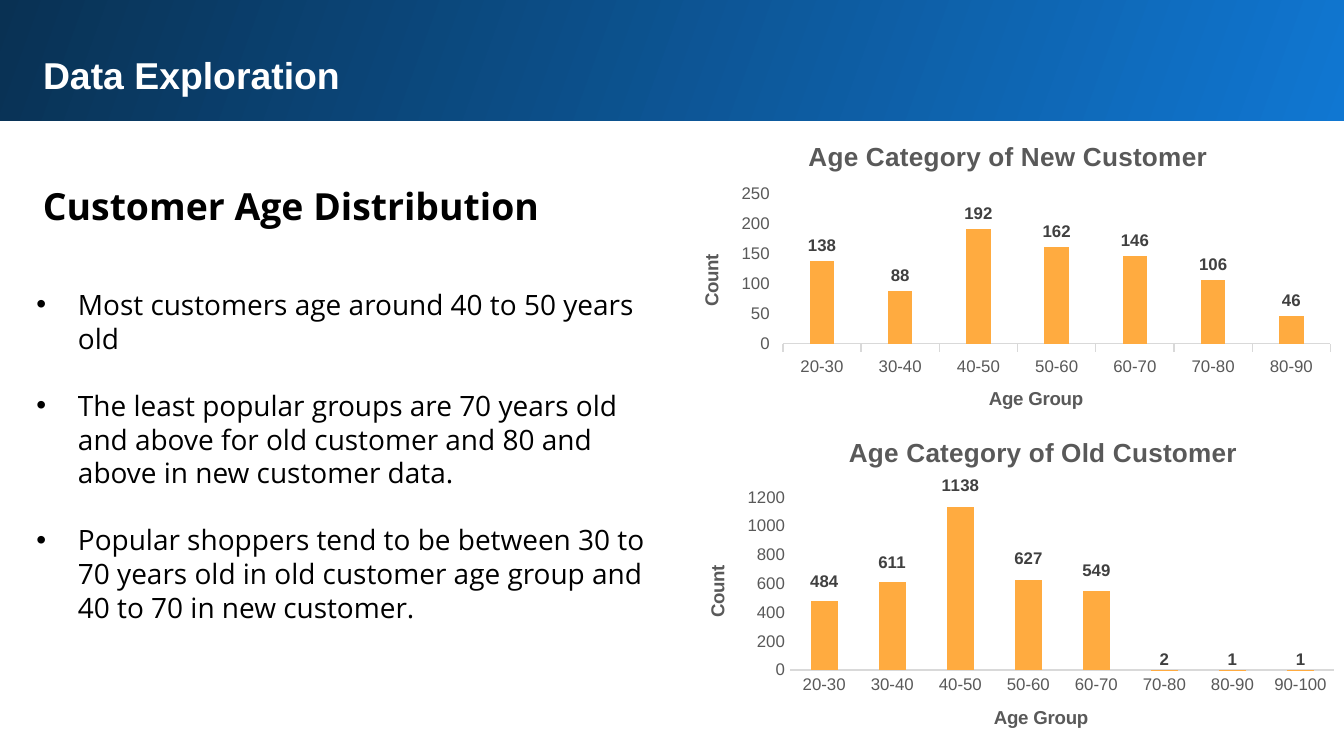
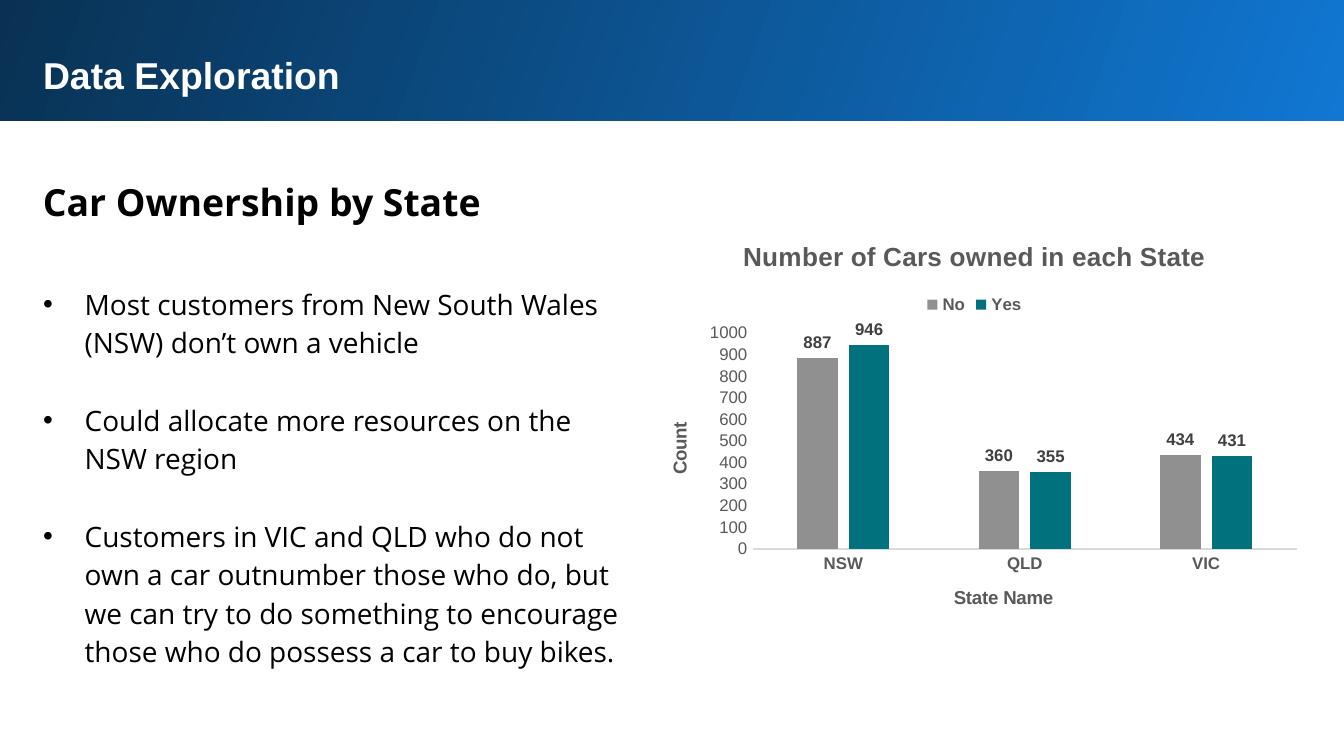
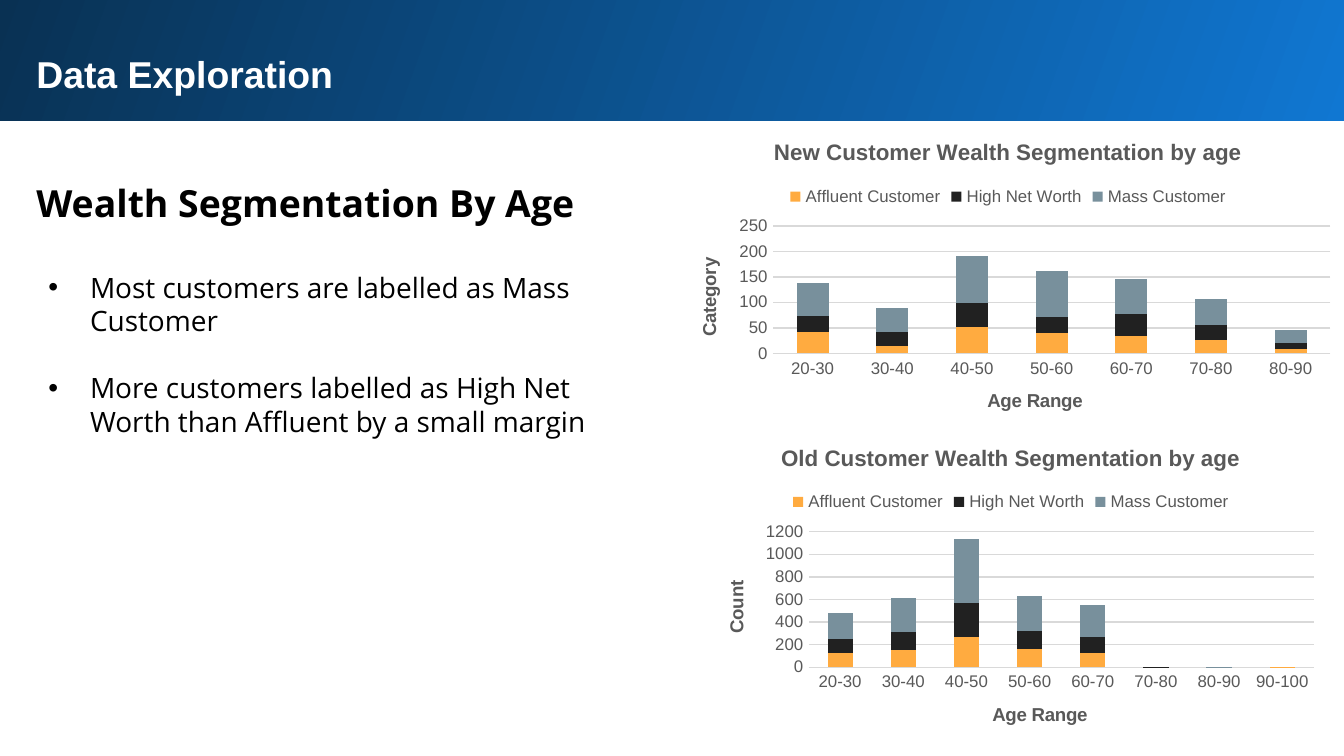
from lxml.etree import SubElement
from pptx import Presentation
from pptx.chart.data import CategoryChartData
from pptx.dml.color import RGBColor
from pptx.enum.chart import (XL_CHART_TYPE, XL_LABEL_POSITION,
                             XL_LEGEND_POSITION, XL_TICK_MARK)
from pptx.enum.shapes import MSO_SHAPE
from pptx.enum.text import MSO_ANCHOR, MSO_AUTO_SIZE, PP_ALIGN
from pptx.oxml.ns import qn
from pptx.util import Inches, Pt

WHITE = RGBColor(0xFF, 0xFF, 0xFF)
BLACK = RGBColor(0x00, 0x00, 0x00)
NAVY = RGBColor(0x09, 0x31, 0x53)
BLUE = RGBColor(0x10, 0x77, 0xD2)
ORANGE = RGBColor(0xFF, 0xAB, 0x40)
COAL = RGBColor(0x21, 0x21, 0x21)
SLATE = RGBColor(0x78, 0x90, 0x9C)
GREY = RGBColor(0x90, 0x90, 0x90)
TEAL = RGBColor(0x00, 0x71, 0x7D)
DIM = RGBColor(0x59, 0x59, 0x59)
DARK = RGBColor(0x40, 0x40, 0x40)
PALE = RGBColor(0xD9, 0xD9, 0xD9)

HEAD = dict(name="Arial", size=Pt(20), bold=True, color=WHITE)
TOPIC = dict(name="Open Sans", size=Pt(20), bold=True, color=BLACK)
BODY = dict(name="Open Sans", size=Pt(15), bold=False, color=BLACK)
TICK = dict(name="Arial", size=Pt(9), bold=False, color=DIM)
LABEL = dict(TICK, bold=True, color=DARK)
AXIS = dict(TICK, size=Pt(10), bold=True)
CAPTION = dict(AXIS, size=Pt(14))

CLUSTER = XL_CHART_TYPE.COLUMN_CLUSTERED
STACK = XL_CHART_TYPE.COLUMN_STACKED
AGES = [f"{n}-{n + 10}" for n in range(20, 100, 10)]
C15 = "http://schemas.microsoft.com/office/drawing/2012/chart"


def ink(font, look):
    """Apply a dict of format values to a font."""
    for key, value in look.items():
        if key == "color":
            font.color.rgb = value
        else:
            setattr(font, key, value)


def place(node, index, **parts):
    """Give a chart element a manual layout, in shares of the chart."""
    layout = node.find(qn("c:layout"))
    if layout is not None:
        node.remove(layout)
    layout = SubElement(node, qn("c:layout"))
    node.insert(index, layout)
    manual = SubElement(layout, qn("c:manualLayout"))
    for key, value in parts.items():
        SubElement(manual, qn("c:" + key)).set("val", str(value))


def unlead(node):
    """Turn off the leader lines of a set of data labels."""
    lead = node.find(qn("c:showLeaderLines"))
    if lead is None:
        lead = SubElement(node, qn("c:showLeaderLines"))
    lead.set("val", "0")
    more = SubElement(SubElement(node, qn("c:extLst")), qn("c:ext"),
                      nsmap={"c15": C15})
    more.set("uri", "{CE6537A1-D6FC-4f65-9D91-7224C49458BB}")
    SubElement(more, f"{{{C15}}}showLeaderLines").set("val", "0")


class Deck:
    """Shared style and the current slide, on a grid of 100 columns."""

    def __init__(self):
        """Open a blank deck and set its size and grid cell."""
        self.prs = Presentation()
        self.prs.slide_width = Inches(10)
        self.prs.slide_height = Inches(5.625)
        self.cell = self.prs.slide_width / 100
        self.slide = None

    def box(self, *at):
        """Turn grid columns and rows into lengths."""
        return [round(n * self.cell) for n in at]

    def frame(self, shape, at, pad):
        """Move a text shape and return its frame, wrapped and top aligned."""
        names = ("left", "top", "width", "height")
        for name, value in zip(names, self.box(*at)):
            setattr(shape, name, value)
        text = shape.text_frame
        look = dict(word_wrap=True, auto_size=MSO_AUTO_SIZE.NONE,
                    vertical_anchor=MSO_ANCHOR.TOP)
        look.update({f"margin_{side}": round(pad * self.cell)
                     for side in names[:2] + ("right", "bottom")})
        for key, value in look.items():
            setattr(text, key, value)
        return text

    def start(self, at, pad=1):
        """Add a slide with its gradient band and title."""
        self.slide = self.prs.slides.add_slide(self.prs.slide_layouts[1])
        shapes = self.slide.shapes
        band = shapes.add_shape(MSO_SHAPE.RECTANGLE,
                                *self.box(-0.2, -0.2, 100.5, 9.2))
        band.shadow.inherit = False
        band.line.fill.background()
        band.fill.gradient()
        band.fill.gradient_angle = 160
        for stop, color in zip(band.fill.gradient_stops, (BLUE, NAVY)):
            stop.color.rgb = color
        shapes.element.insert(2, band.element)
        self.line(shapes.title, "Data Exploration", at, HEAD, pad)

    def line(self, shape, words, at, look, pad, pitch=1.0):
        """Write one left-aligned line of text into a shape."""
        text = self.frame(shape, at, pad)
        text.text = words
        para = text.paragraphs[0]
        para.alignment = PP_ALIGN.LEFT
        para.line_spacing = pitch
        ink(para.runs[0].font, look)

    def topic(self, words, at, pad=1, pitch=1.15):
        """Add the heading of the left column."""
        shape = self.slide.shapes.add_textbox(0, 0, 0, 0)
        self.line(shape, words, at, TOPIC, pad, pitch)

    def bullets(self, items, at, pad=0.5, pitch=1.0):
        """Fill the body placeholder with a spaced list."""
        text = self.frame(self.slide.placeholders[1], at, pad)
        text.text = "\n".join(items)
        indent = Inches(0.31)
        for para in text.paragraphs:
            para.line_spacing = pitch
            para.space_before = Pt(0)
            para.space_after = Pt(18 * pitch)
            props = para._p.get_or_add_pPr()
            props.set("marL", str(indent))
            props.set("indent", str(-indent))
            ink(para.runs[0].font, BODY)

    def title(self, frame, words, look):
        """Write a chart or axis title."""
        frame.text = words
        ink(frame.paragraphs[0].runs[0].font, look)

    def axis(self, axis, words, look, tick):
        """Style one chart axis and its title."""
        for key, value in dict(has_major_gridlines=False,
                               major_tick_mark=tick,
                               minor_tick_mark=XL_TICK_MARK.NONE).items():
            setattr(axis, key, value)
        ink(axis.tick_labels.font, look)
        self.title(axis.axis_title.text_frame, words, AXIS)

    def chart(self, kind, words, at, area, cats, series, names, top, step,
              size=14, gap=150, overlap=100, key=False, grid=False,
              tick=XL_TICK_MARK.NONE, bold=False):
        """Add a column chart; series holds (name, values, colour)."""
        data = CategoryChartData()
        data.categories = cats
        for name, values, _ in series:
            data.add_series(name, values)
        chart = self.slide.shapes.add_chart(kind, *self.box(*at), data).chart
        ink(chart.font, dict(name="Arial", size=Pt(10), color=BLACK))
        self.title(chart.chart_title.text_frame, words,
                   dict(CAPTION, size=Pt(size)))
        chart.chart_title.include_in_layout = False

        low, side = chart.category_axis, chart.value_axis
        self.axis(low, names[0], dict(TICK, bold=bold), tick)
        self.axis(side, names[1], TICK, tick)
        low.format.line.color.rgb = PALE
        low.format.line.width = Pt(0.75)
        side.format.line.fill.background()
        side.minimum_scale, side.maximum_scale = 0, top
        side.major_unit = step
        if grid:
            side.has_major_gridlines = True
            side.major_gridlines.format.line.color.rgb = PALE
            side.major_gridlines.format.line.width = Pt(0.75)
        turn = chart.element.xpath(".//c:valAx/c:title//a:bodyPr")[0]
        turn.set("rot", "-5400000")
        turn.set("vert", "horz")

        chart.has_legend = key
        if key:
            chart.legend.position = XL_LEGEND_POSITION.TOP
            chart.legend.include_in_layout = False
            ink(chart.legend.font, dict(TICK, bold=bold))

        plot = chart.plots[0]
        plot.gap_width, plot.overlap = gap, overlap
        plot.vary_by_categories = False
        for bar, (_, _, color) in zip(plot.series, series):
            bar.format.fill.solid()
            bar.format.fill.fore_color.rgb = color
        place(chart.element.xpath(".//c:plotArea")[0], 0,
              layoutTarget="inner", xMode="edge", yMode="edge",
              **dict(zip("xywh", area)))
        return chart

    def labels(self, chart, spot=XL_LABEL_POSITION.OUTSIDE_END):
        """Show the value of every bar."""
        for bar in chart.plots[0].series:
            marks = bar.data_labels
            marks.show_value = True
            marks.position = spot
            ink(marks.font, LABEL)

    def lift(self, chart, span):
        """Raise centred labels of stacked bars to just above them."""
        spot = XL_LABEL_POSITION.CENTER
        self.labels(chart, spot)
        bar = chart.plots[0].series[0]
        for n in range(len(bar.values)):
            mark = bar.points[n].data_label
            ink(mark.font, LABEL)
            mark.position = spot
        for node, value in zip(chart.element.xpath(".//c:dLbl"), bar.values):
            half = value / chart.value_axis.maximum_scale * span / 2
            gap = 0.06 if value > 100 else 0.03
            place(node, 1, x=0, y=round(-half - gap, 2))
        unlead(chart.element.xpath(".//c:ser/c:dLbls")[0])


deck = Deck()

# Customer age
deck.start((2.2, 2.9, 93.7, 5.4))
deck.topic("Customer Age Distribution", (2.2, 12.1, 45.2, 5.6))
deck.bullets([
    "Most customers age around 40 to 50 years old",
    "The least popular groups are 70 years old and above for old customer "
    "and 80 and above in new customer data.",
    "Popular shoppers tend to be between 30 to 70 years old in old customer "
    "age group and 40 to 70 in new customer.",
], (2.2, 20.9, 47.4, 28.6))
fresh = deck.chart(
    CLUSTER, "Age Category of New Customer", (50, 9, 50, 23.7),
    (0.165, 0.23, 0.815, 0.47), AGES[:7],
    [("Series 1", (138, 88, 192, 162, 146, 106, 46), ORANGE)],
    ("Age Group", "Count"), 250, 50, gap=219, overlap=-27,
    tick=XL_TICK_MARK.OUTSIDE)
deck.labels(fresh)
past = deck.chart(
    STACK, "Age Category of Old Customer", (50.3, 31.6, 50, 24.7),
    (0.17, 0.22, 0.81, 0.52), AGES,
    [("Series 1", (484, 611, 1138, 627, 549, 2, 1, 1), ORANGE)],
    ("Age Group", "Count"), 1200, 200)
deck.lift(past, 0.52)
place(past.element.xpath("./c:chart/c:title")[0], 1,
      xMode="edge", yMode="edge", x=0.25, y=0.02)

# Car ownership
deck.start((2.2, 2.9, 93.7, 5.1))
deck.topic("Car Ownership by State", (2.2, 11.8, 45.2, 5.6))
deck.bullets([
    "Most customers from New South Wales (NSW) don\u2019t own a vehicle",
    "Could allocate more resources on the NSW region",
    "Customers in VIC and QLD who do not own a car outnumber those who do, "
    "but we can try to do something to encourage those who do possess a car "
    "to buy bikes.",
], (2.2, 20, 45.2, 33.8), pad=1, pitch=1.15)
cars = deck.chart(
    CLUSTER, "Number of Cars owned in each State", (47.5, 16.3, 50, 31.5),
    (0.17, 0.27, 0.81, 0.51), ("NSW", "QLD", "VIC"),
    [("No", (887, 360, 434), GREY), ("Yes", (946, 355, 431), TEAL)],
    ("State Name", "Count"), 1000, 100, gap=219, overlap=-27,
    key=True, bold=True)
deck.labels(cars)

# Wealth segments
deck.start((2.2, 3.3, 95.5, 4.4), pad=0.5)
deck.topic("Wealth Segmentation By Age", (2.2, 12.9, 49.5, 4.4), 0.5, 1.0)
deck.bullets([
    "Most customers are labelled as Mass Customer",
    "More customers labelled as High Net Worth than Affluent by a small "
    "margin",
], (3.1, 19.6, 43.1, 16))
TIERS = (("Affluent Customer", ORANGE), ("High Net Worth", COAL),
         ("Mass Customer", SLATE))
WEALTH = (
    ("Old", "Count", (51.7, 31.7, 47, 24.6), (0.18, 0.32, 0.8, 0.41),
     1200, 200, AGES,
     ((130, 150, 270, 160, 130, 1, None, 1),
      (120, 160, 300, 160, 140, 1, None, None),
      (230, 300, 570, 310, 280, None, 1, None))),
    ("New", "Category", (50, 9, 50, 23.7), (0.15, 0.33, 0.83, 0.4),
     250, 50, AGES[:7],
     ((42, 14, 51, 39, 34, 26, 9),
      (32, 28, 47, 32, 43, 29, 12),
      (64, 46, 94, 91, 69, 51, 25))),
)
for group, side, at, area, top, step, ages, rows in WEALTH:
    deck.chart(
        STACK, f"{group} Customer Wealth Segmentation by age", at, area, ages,
        [(name, row, color) for (name, color), row in zip(TIERS, rows)],
        ("Age Range", side), top, step, size=12, key=True, grid=True)

deck.prs.save("out.pptx")
